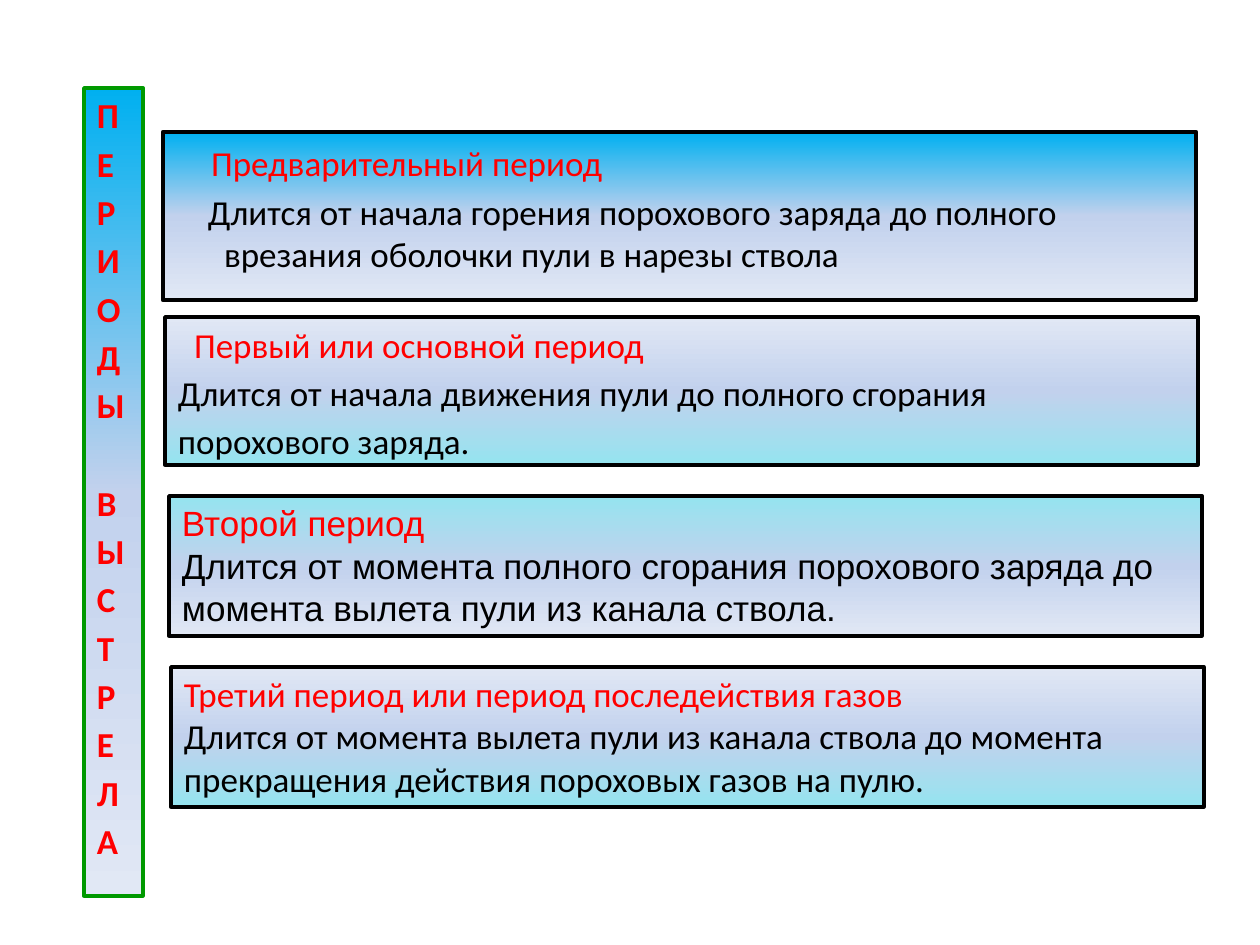
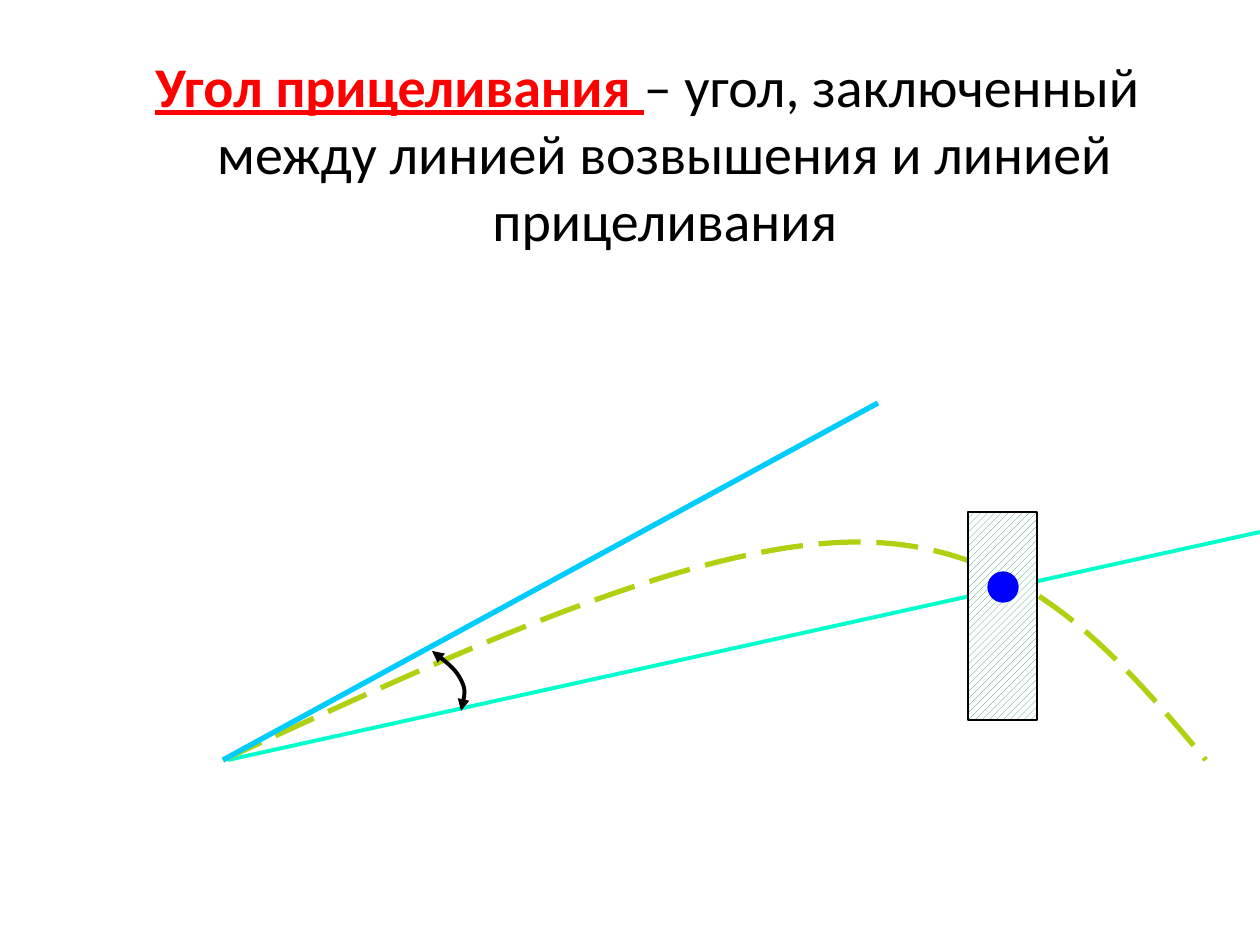
from copy import deepcopy
from pptx import Presentation, util as u
from pptx.dml.color import RGBColor
from pptx.enum import dml, shapes, text
from pptx.oxml.ns import qn
from lxml import etree

SCALE = 914400 / 126
RED, BLACK, WHITE = "FF0000", "000000", "FFFFFF"
SKY, AQUA, MIST, PALE = "00B0F0", "95E4EF", "C2D1ED", "E1E8F5"
SKY_TO_PALE = (SKY, MIST, PALE)
AQUA_TO_PALE = (AQUA, MIST, PALE)
PALE_TO_AQUA = (PALE, MIST, AQUA)

BAR_WORDS = ("ПЕРИОДЫ", "ВЫСТРЕЛА")
BAR_BOX = (84, 88, 59, 808)
PERIOD_SIZE = (1033, 140)

PERIODS = [
    dict(place=(163, 132), height=168, colors=SKY_TO_PALE, line=2.5,
         font="Calibri", gap=4, top=9, indents=[(35, 0), (48, -16)],
         lines=["Предварительный период",
                "Длится от начала горения порохового заряда до полного "
                "врезания оболочки пули в нарезы ствола"]),
    dict(place=(165, 317), height=148, colors=PALE_TO_AQUA, line=2,
         font="Calibri", gap=3.6, top=6, indents=[(16, 0), (0, 0), (0, 0)],
         lines=["Первый или основной период",
                "Длится от начала движения пули до полного сгорания",
                "порохового заряда."]),
    dict(place=(169, 496), height=140, colors=AQUA_TO_PALE, line=2,
         font="Arial", gap=0, top=6, indents=[(0, 0), (0, 0)],
         lines=["Второй период",
                "Длится от момента полного сгорания порохового заряда до "
                "момента вылета пули из канала ствола."]),
    dict(place=(171, 667), height=140, colors=PALE_TO_AQUA, line=2,
         font="Calibri", gap=0, top=6, indents=[(0, 0), (0, 0)],
         lines=["Третий период или период последействия газов",
                "Длится от момента вылета пули из канала ствола до момента "
                "прекращения действия пороховых газов на пулю."]),
]

TERM = "Угол прицеливания "
DEFINITION = "– угол, заключенный между линией возвышения и линией прицеливания"
DEFINITION_BOX = (74, 45, 1134, 232)
SIGHT_LINE = ((228, 760), (1260, 532))
ELEVATION_LINE = ((223, 760), (878, 403))
TRAJECTORY = [(223, 760), (459, 651), (694, 542), (858, 542),
              (1022, 542), (1114, 651), (1206, 760)]
ANGLE_ARC = [(432, 651), (444, 660), (456, 670), (461, 680),
             (466, 690), (464, 700), (461, 711)]
TARGET_BOX = (968, 512, 69, 208)
AIM_POINT_BOX = (988, 572, 30, 30)


def px(value):
    return round(value * SCALE)


def rgb(color):
    return RGBColor.from_string(color)


def place(shape, box):
    shape.left, shape.top, shape.width, shape.height = map(px, box)


def outline(shape, color, width):
    shape.line.color.rgb = rgb(color)
    shape.line.width = u.Pt(width)


def fill_gradient(shape, colors):
    shape.fill.gradient()
    shape.fill.gradient_angle = 270
    stop_list = shape._element.spPr.find(".//" + qn("a:gsLst"))
    stop_list.insert(1, deepcopy(stop_list[0]))
    for stop, color, position in zip(shape.fill.gradient_stops, colors, (0, 0.5, 1)):
        stop.color.rgb = rgb(color)
        stop.position = position


def add_preset(slide, kind, box):
    shape = slide.shapes.add_shape(kind, *map(px, box))
    shape.shadow.inherit = False
    return shape


def prepare_text(shape, top=6):
    frame = shape.text_frame
    frame.word_wrap = True
    frame.auto_size = text.MSO_AUTO_SIZE.NONE
    frame.vertical_anchor = text.MSO_ANCHOR.TOP
    frame.margin_left = frame.margin_right = px(13)
    frame.margin_top = frame.margin_bottom = px(top)
    return frame


def format_paragraph(paragraph, indent=(0, 0), before=0, align=text.PP_ALIGN.LEFT):
    properties = paragraph._p.get_or_add_pPr()
    properties.set("marL", str(px(indent[0])))
    properties.set("indent", str(px(indent[1])))
    etree.SubElement(properties, qn("a:buNone"))
    paragraph.space_before = u.Pt(before)
    paragraph.alignment = align


def format_run(run, font, size, color, bold=False, underline=False):
    run.font.name = font
    run.font.size = u.Pt(size)
    run.font.color.rgb = rgb(color)
    run.font.bold = bold
    run.font.underline = underline


def add_bar(slide):
    bar = add_preset(slide, shapes.MSO_SHAPE.RECTANGLE, BAR_BOX)
    fill_gradient(bar, SKY_TO_PALE)
    outline(bar, "009900", 2)
    frame = prepare_text(bar)
    frame.text = "\n".join("".join(BAR_WORDS))
    for index, paragraph in enumerate(frame.paragraphs):
        before = 0 if index == 0 else 31.6 if index == len(BAR_WORDS[0]) else 3.6
        format_paragraph(paragraph, before=before)
        format_run(paragraph.runs[0], "Calibri", 20, RED, bold=True)


def fill_period(shape, period):
    fill_gradient(shape, period["colors"])
    outline(shape, BLACK, period["line"])
    frame = prepare_text(shape, period["top"])
    frame.text = "\n".join(period["lines"])
    for index, paragraph in enumerate(frame.paragraphs):
        format_paragraph(paragraph, period["indents"][index],
                         period["gap"] if index else 0)
        format_run(paragraph.runs[0], period["font"], 20, BLACK if index else RED)


def build_periods_slide(presentation):
    slide = presentation.slides.add_slide(presentation.slide_layouts[3])
    title = slide.shapes.title._element
    title.getparent().remove(title)
    add_bar(slide)
    bodies = list(slide.placeholders)
    for index, period in enumerate(PERIODS):
        box = (*period["place"], PERIOD_SIZE[0], period["height"])
        if index < len(bodies):
            shape = bodies[index]
            place(shape, box)
        else:
            shape = add_preset(slide, shapes.MSO_SHAPE.RECTANGLE, box)
        fill_period(shape, period)


def add_line(slide, ends, color, width):
    (x1, y1), (x2, y2) = ends
    line = slide.shapes.add_connector(
        shapes.MSO_CONNECTOR.STRAIGHT, px(x1), px(y1), px(x2), px(y2))
    outline(line, color, width)
    etree.SubElement(line._element.spPr, qn("a:effectLst"))


def add_curve(slide, points, color, width):
    builder = slide.shapes.build_freeform(*points[0], scale=SCALE)
    builder.add_line_segments(points[1:], close=False)
    curve = builder.convert_to_shape()
    segments = curve._element.findall(".//" + qn("a:lnTo"))
    for start in range(0, len(segments), 3):
        group = segments[start:start + 3]
        bezier = etree.Element(qn("a:cubicBezTo"))
        group[0].addprevious(bezier)
        for segment in group:
            bezier.append(segment[0])
            segment.getparent().remove(segment)
    curve.fill.background()
    curve.shadow.inherit = False
    outline(curve, color, width)
    return curve


def add_definition(slide):
    title = slide.shapes.title
    place(title, DEFINITION_BOX)
    paragraph = prepare_text(title).paragraphs[0]
    format_paragraph(paragraph, (48, -35), align=text.PP_ALIGN.CENTER)
    for words, color, marked in ((TERM, RED, True), (DEFINITION, BLACK, False)):
        run = paragraph.add_run()
        run.text = words
        format_run(run, "Calibri", 32, color, bold=marked, underline=marked)


def build_angle_slide(presentation):
    slide = presentation.slides.add_slide(presentation.slide_layouts[5])
    add_definition(slide)
    add_line(slide, SIGHT_LINE, "00FFCC", 2.25)
    trajectory = add_curve(slide, TRAJECTORY, "B0D012", 3)
    trajectory.line.dash_style = dml.MSO_LINE.LONG_DASH
    add_line(slide, ELEVATION_LINE, "00CCFF", 3)

    target = add_preset(slide, shapes.MSO_SHAPE.RECTANGLE, TARGET_BOX)
    target.fill.patterned()
    target.fill.pattern = dml.MSO_PATTERN.WIDE_UPWARD_DIAGONAL
    target.fill.fore_color.rgb = rgb("339966")
    target.fill.back_color.rgb = rgb(WHITE)
    outline(target, BLACK, 1)

    aim_point = add_preset(slide, shapes.MSO_SHAPE.OVAL, AIM_POINT_BOX)
    aim_point.fill.solid()
    aim_point.fill.fore_color.rgb = rgb("0000FF")
    outline(aim_point, "0000FF", 0.75)

    arc = add_curve(slide, ANGLE_ARC, BLACK, 2.25)
    line_properties = arc._element.spPr.find(qn("a:ln"))
    for end in ("a:headEnd", "a:tailEnd"):
        etree.SubElement(line_properties, qn(end), type="triangle")


def main():
    presentation = Presentation()
    presentation.slide_width = px(1260)
    presentation.slide_height = px(945)
    build_periods_slide(presentation)
    build_angle_slide(presentation)
    presentation.save("out.pptx")


if __name__ == "__main__":
    main()
